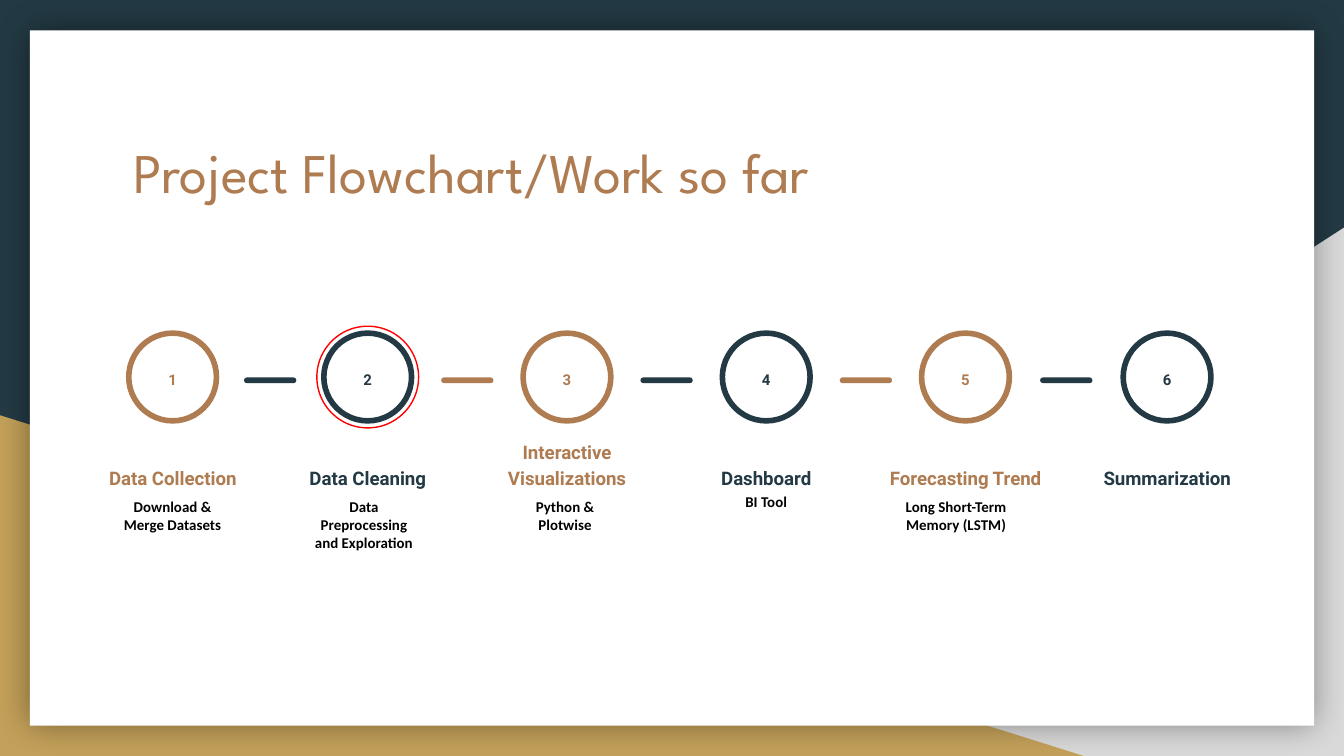
from lxml import etree
from pptx import Presentation
from pptx.dml.color import RGBColor
from pptx.enum.shapes import MSO_SHAPE
from pptx.enum.text import MSO_ANCHOR, MSO_AUTO_SIZE, PP_ALIGN
from pptx.util import Pt

TRIANGLE, RECTANGLE = MSO_SHAPE.RIGHT_TRIANGLE, MSO_SHAPE.RECTANGLE
CIRCLE, ROUNDED = MSO_SHAPE.OVAL, MSO_SHAPE.ROUNDED_RECTANGLE
TOP, BOTTOM = MSO_ANCHOR.TOP, MSO_ANCHOR.BOTTOM
LEFT, CENTER = PP_ALIGN.LEFT, PP_ALIGN.CENTER
FIT_SHAPE = MSO_AUTO_SIZE.SHAPE_TO_FIT_TEXT

NAVY, BRONZE, GOLD, GRAY = "233A44", "AF7B51", "C4A15A", "D9D9D9"
WHITE, BLACK, RED = "FFFFFF", "000000", "FF0000"

TITLE = "Project Flowchart/Work so far"
# (center x, heading, detail, detail offset from center, detail height)
STEPS = [
    (92.5, "Data Collection", "Download & Merge Datasets", 0, 34),
    (197, "Data Cleaning", "Data Preprocessing and Exploration", -2, 44),
    (303.75, "Interactive Visualizations", "Python & Plotwise", -1, 34),
    (410.5, "Dashboard", "BI Tool", 0, 24.5),
    (517.25, "Forecasting Trend", "Long Short-Term Memory (LSTM)", -5, 34),
    (625.25, "Summarization", None, 0, 0),
]
CURRENT_STEP = 2
CIRCLE_SIZE, RING_SIZE, CIRCLE_MIDDLE = 47, 54.5, 202
DASH_WIDTH, DASH_HEIGHT, DASH_TOP = 28, 3, 202.25

A = "http://schemas.openxmlformats.org/drawingml/2006/main"
PANEL_SHADOW = (
    f'<a:effectLst xmlns:a="{A}"><a:outerShdw blurRad="{Pt(18)}" dist="0">'
    '<a:srgbClr val="000000"><a:alpha val="40000"/></a:srgbClr>'
    '</a:outerShdw></a:effectLst>'
)


def color(value):
    return RGBColor.from_string(value)


def add_shape(slide, kind, left, top, width, height, fill=None, line=None, weight=0):
    shape = slide.shapes.add_shape(kind, Pt(left), Pt(top), Pt(width), Pt(height))
    shape.shadow.inherit = False
    if fill:
        shape.fill.solid()
        shape.fill.fore_color.rgb = color(fill)
    else:
        shape.fill.background()
    if line:
        shape.line.color.rgb = color(line)
        shape.line.width = Pt(weight)
    else:
        shape.line.fill.background()
    return shape


def add_circle(slide, center, size, line, weight):
    add_shape(slide, CIRCLE, center - size / 2, CIRCLE_MIDDLE - size / 2,
              size, size, line=line, weight=weight)


def add_text(slide, text, left, top, width, height, font, size, text_color,
             bold=True, align=CENTER, anchor=TOP, spacing=None):
    box = slide.shapes.add_textbox(Pt(left), Pt(top), Pt(width), Pt(height))
    frame = box.text_frame
    frame.word_wrap = True
    frame.vertical_anchor = anchor
    frame.margin_left = frame.margin_right = Pt(7.2)
    frame.margin_top = frame.margin_bottom = Pt(7.2)
    frame.text = text
    paragraph = frame.paragraphs[0]
    paragraph.alignment = align
    if spacing:
        paragraph.line_spacing = spacing
    run_font = paragraph.runs[0].font
    run_font.name, run_font.size, run_font.bold = font, Pt(size), bold
    run_font.color.rgb = color(text_color)
    return box


def add_backdrop(slide):
    slide.background.fill.solid()
    slide.background.fill.fore_color.rgb = color(NAVY)
    corner = add_shape(slide, TRIANGLE, 282, 122, 438, 283, GRAY)
    corner._element.spPr.xfrm.set("flipH", "1")
    add_shape(slide, TRIANGLE, 0, 222.5, 580.5, 182.5, GOLD)
    panel = add_shape(slide, RECTANGLE, 16, 16.25, 688, 372.5, WHITE)
    properties = panel._element.spPr
    properties.replace(properties.find(f"{{{A}}}effectLst"),
                       etree.fromstring(PANEL_SHADOW))


def add_step(slide, number, center, heading, detail, offset, detail_height):
    accent = BRONZE if number % 2 else NAVY
    add_circle(slide, center, CIRCLE_SIZE, accent, 3)
    if number == CURRENT_STEP:
        add_circle(slide, center, RING_SIZE, RED, 0.75)
    add_text(slide, str(number), center - 17.25, 191.5, 34.5, 25,
             "Roboto", 8, accent, spacing=1.15)
    add_text(slide, heading, center - 53.5, 234, 107, 35.25,
             "Roboto", 10, accent, anchor=BOTTOM, spacing=1.15)
    if detail:
        box = add_text(slide, detail, center + offset - 35.75, 259.25, 71.5,
                       detail_height, "Calibri", 8, BLACK)
        box.text_frame.auto_size = FIT_SHAPE


presentation = Presentation()
presentation.slide_width, presentation.slide_height = Pt(720), Pt(405)
slide = presentation.slides.add_slide(presentation.slide_layouts[6])

add_backdrop(slide)
add_text(slide, TITLE, 64.5, 66.25, 591, 75, "League Spartan", 30, BRONZE,
         bold=False, align=LEFT)

for number, step in enumerate(STEPS, 1):
    add_step(slide, number, *step)

for index, (step, following) in enumerate(zip(STEPS, STEPS[1:])):
    middle = (step[0] + following[0]) / 2
    dash = add_shape(slide, ROUNDED, middle - DASH_WIDTH / 2, DASH_TOP,
                     DASH_WIDTH, DASH_HEIGHT, BRONZE if index % 2 else NAVY)
    dash.adjustments[0] = 0.5

presentation.save("out.pptx")
